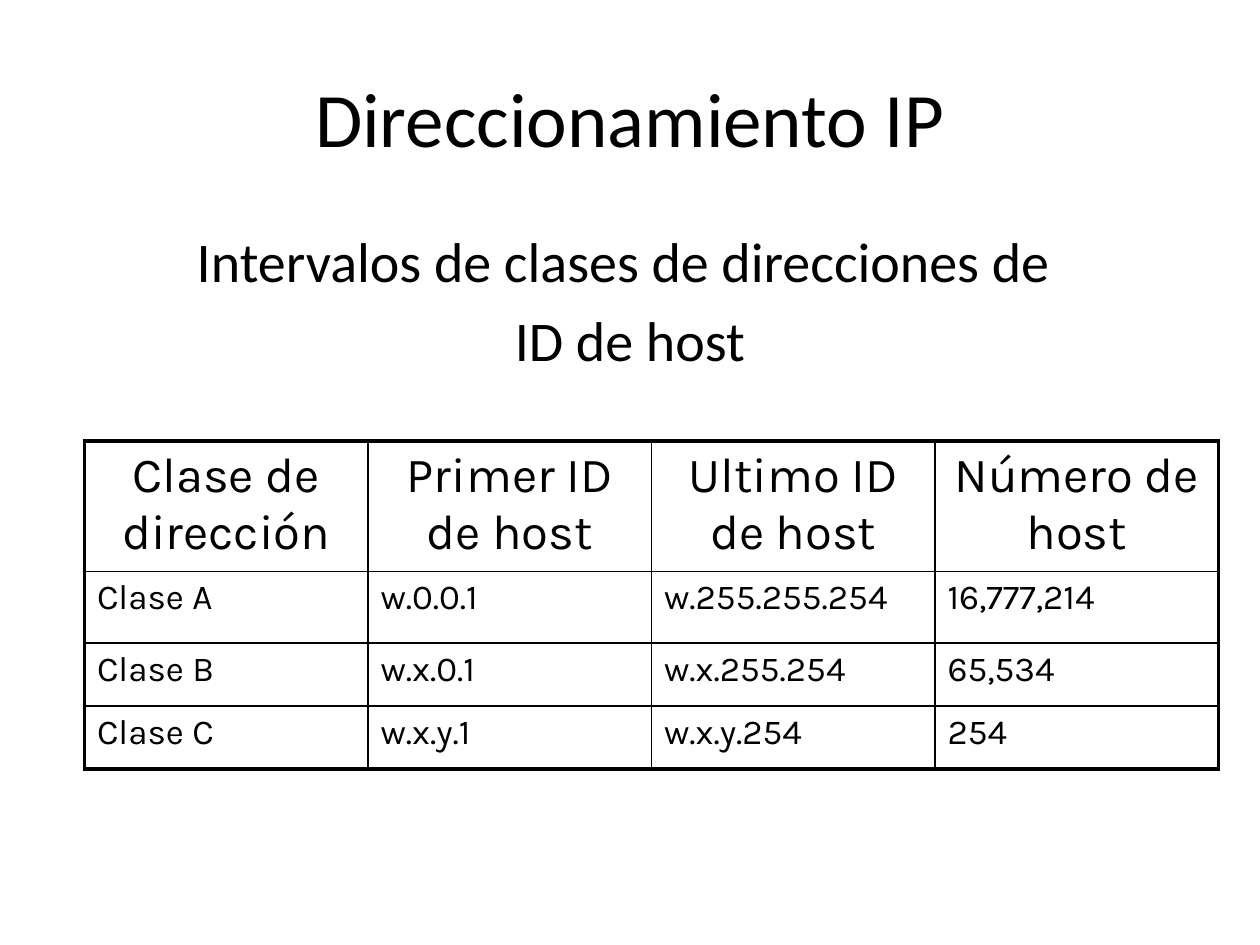
"""Build the slide on host ID ranges of the IP address classes."""
import pptx
import pptx.dml.color
import pptx.enum.text
import pptx.oxml
import pptx.oxml.ns
import pptx.util
from pptx.util import Inches, Pt

BLACK = pptx.dml.color.RGBColor(0, 0, 0)
WHITE = pptx.dml.color.RGBColor(255, 255, 255)
CENTER = pptx.enum.text.PP_ALIGN.CENTER
LEFT = pptx.enum.text.PP_ALIGN.LEFT
MIDDLE = pptx.enum.text.MSO_ANCHOR.MIDDLE
TOP = pptx.enum.text.MSO_ANCHOR.TOP

TITLE = ["Direccionamiento IP"]
SUBTITLE = ["Intervalos de clases de direcciones de ", "ID de host"]
ROWS = [
    ("Clase de dirección", "Primer ID de host", "Ultimo ID de host", "Número de host"),
    ("Clase A", "w.0.0.1", "w.255.255.254", "16,777,214"),
    ("Clase B", "w.x.0.1", "w.x.255.254", "65,534"),
    ("Clase C", "w.x.y.1", "w.x.y.254", "254"),
]
ROW_HEIGHTS = [1.01, 0.57, 0.5, 0.5]
COLUMN_WIDTH = 2.25
OUTER_LINE, INNER_LINE = 2.25, 1


def write(frame, lines, font, size, align):
    frame.text = "\n".join(lines)
    for index, para in enumerate(frame.paragraphs):
        para.alignment = align
        para.space_before = Pt(size * 0.2 if index else 0)
        for span in para.runs:
            span.font.name = font
            span.font.size = Pt(size)
            span.font.color.rgb = BLACK


def add_text(page, place, lines, size, anchor):
    box = page.shapes.add_textbox(*map(Inches, place))
    box.text_frame.word_wrap = True
    box.text_frame.vertical_anchor = anchor
    write(box.text_frame, lines, "Calibri", size, CENTER)


def set_borders(cell, on_edge):
    properties = cell._tc.get_or_add_tcPr()
    for position, side in enumerate("LRTB"):
        width = Pt(OUTER_LINE if on_edge[side] else INNER_LINE)
        line = pptx.oxml.parse_xml(
            f'<a:ln{side} {pptx.oxml.ns.nsdecls("a")} w="{width}">'
            f'<a:solidFill><a:srgbClr val="{BLACK}"/></a:solidFill></a:ln{side}>'
        )
        properties.insert(position, line)


def add_class_table(page):
    row_count, column_count = len(ROWS), len(ROWS[0])
    table = page.shapes.add_table(
        row_count, column_count, Inches(0.67), Inches(3.5),
        Inches(COLUMN_WIDTH * column_count), Inches(sum(ROW_HEIGHTS)),
    ).table
    table.first_row = table.horz_banding = False
    for column in table.columns:
        column.width = Inches(COLUMN_WIDTH)
    for r, values in enumerate(ROWS):
        table.rows[r].height = Inches(ROW_HEIGHTS[r])
        size, align = (20, LEFT) if r else (28, CENTER)
        for c, value in enumerate(values):
            cell = table.cell(r, c)
            cell.fill.solid()
            cell.fill.fore_color.rgb = WHITE
            write(cell.text_frame, [value], "Karla", size, align)
            set_borders(cell, {"L": c == 0, "R": c == column_count - 1,
                               "T": r == 0, "B": r == row_count - 1})


def main():
    deck = pptx.Presentation()
    deck.slide_width, deck.slide_height = Inches(10), Inches(7.5)
    page = deck.slides.add_slide(deck.slide_layouts[6])
    add_text(page, (0.5, 0.3, 9, 1.25), TITLE, 44, MIDDLE)
    add_text(page, (0.5, 1.75, 9, 4.95), SUBTITLE, 32, TOP)
    add_class_table(page)
    deck.save("out.pptx")


if __name__ == "__main__":
    main()
